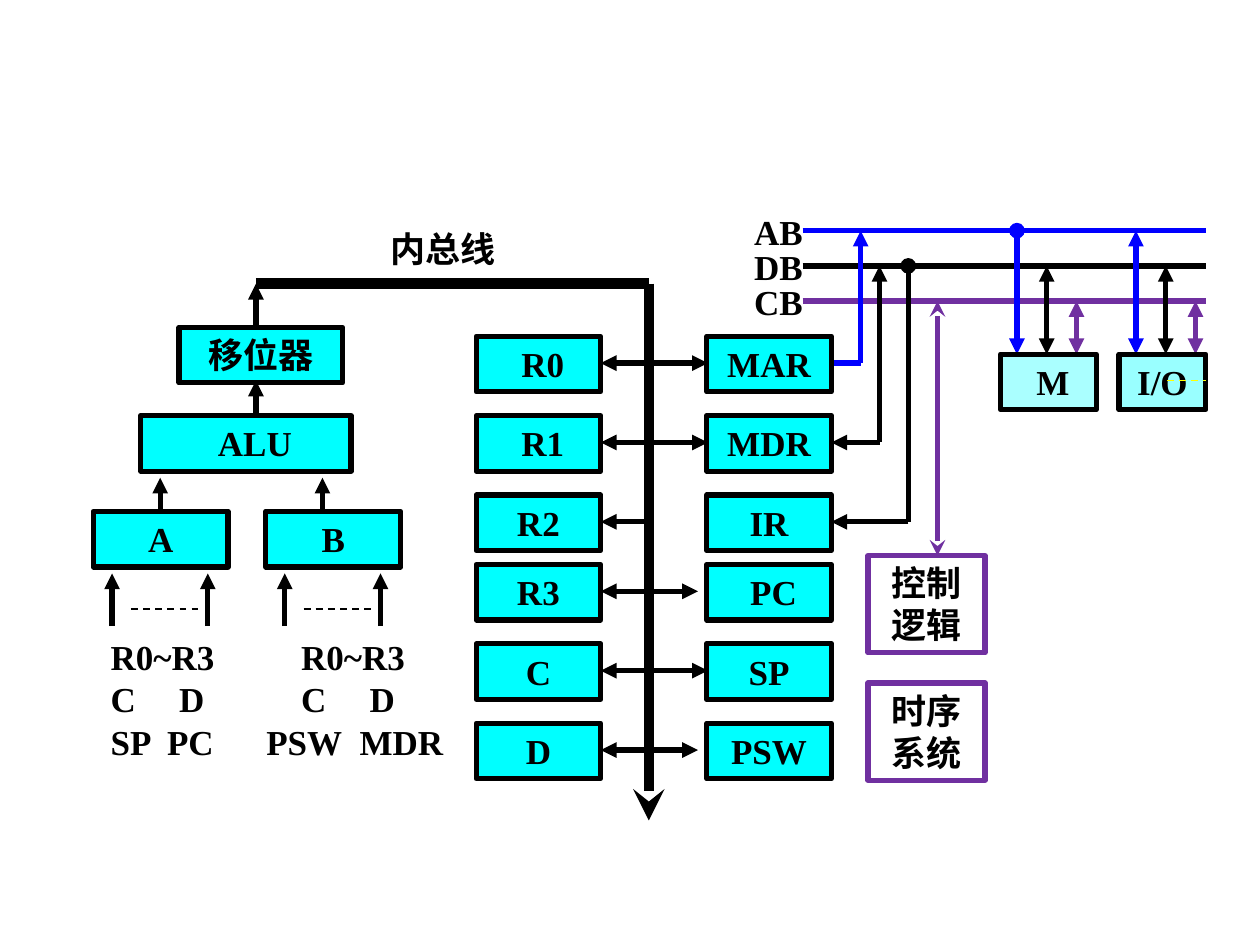
from dataclasses import dataclass

from lxml import etree
from pptx import Presentation
from pptx.dml.color import RGBColor
from pptx.enum.dml import MSO_LINE
from pptx.enum.shapes import MSO_CONNECTOR, MSO_SHAPE
from pptx.enum.text import MSO_ANCHOR, PP_ALIGN
from pptx.oxml.ns import qn
from pptx.util import Cm, Pt

RECT = MSO_SHAPE.RECTANGLE
STRAIGHT = MSO_CONNECTOR.STRAIGHT
DASH = MSO_LINE.DASH
CENTER = PP_ALIGN.CENTER
TOP = MSO_ANCHOR.TOP

BLACK, BLUE, PURPLE, YELLOW = "000000", "0000FF", "7030A0", "FFFF00"
CYAN, PALE_M, PALE_IO = "00FFFF", "AAFFFF", "99FFFF"
TRI, OVAL, STEALTH = "triangle", "oval", "stealth"
BOX_H = 1.12
INSET = 0.25


@dataclass
class Box:
    text: str
    x: float
    y: float
    w: float
    h: float = BOX_H
    fill: str | None = CYAN
    line: str = BLACK
    indent: float = 0


@dataclass
class Wire:
    x1: float
    y1: float
    x2: float
    y2: float
    color: str = BLACK
    head: str | None = None
    tail: str | None = None
    width: float = 3
    dashed: bool = False


def rgb(hex_color: str) -> RGBColor:
    return RGBColor.from_string(hex_color)


def add_run(p, text: str) -> None:
    r = p.add_run()
    r.text = text
    r.font.name = "Times New Roman"
    r.font.size = Pt(20)
    r.font.bold = True
    r.font.color.rgb = rgb(BLACK)


def fill_frame(sp, text: str, indent: float = 0) -> None:
    tf = sp.text_frame
    tf.word_wrap = True
    tf.vertical_anchor = TOP
    tf.margin_left = Cm(INSET + indent)
    p = tf.paragraphs[0]
    p.alignment = CENTER
    add_run(p, text)


def draw_box(s, b: Box) -> None:
    sp = s.shapes.add_shape(RECT, Cm(b.x), Cm(b.y), Cm(b.w), Cm(b.h))
    sp.shadow.inherit = False
    if b.fill:
        sp.fill.solid()
        sp.fill.fore_color.rgb = rgb(b.fill)
    else:
        sp.fill.background()
    sp.line.color.rgb = rgb(b.line)
    sp.line.width = Pt(3)
    fill_frame(sp, b.text, b.indent)


def draw_label(s, text: str, x: float, y: float, w: float) -> None:
    fill_frame(s.shapes.add_textbox(Cm(x), Cm(y), Cm(w), Cm(BOX_H)), text)


def draw_wire(s, w: Wire) -> None:
    cn = s.shapes.add_connector(STRAIGHT, Cm(w.x1), Cm(w.y1), Cm(w.x2), Cm(w.y2))
    cn.line.color.rgb = rgb(w.color)
    cn.line.width = Pt(w.width)
    if w.dashed:
        cn.line.dash_style = DASH
    ln = cn.line._get_or_add_ln()
    for tag, kind in (("a:headEnd", w.head), ("a:tailEnd", w.tail)):
        if kind:
            etree.SubElement(ln, qn(tag), type=kind)
    etree.SubElement(cn._element.spPr, qn("a:effectLst"))


def draw_sources(s, x: float, y: float, rows: list) -> None:
    """Source registers of the ALU inputs, set in columns by tab stops."""
    tf = s.shapes.add_textbox(Cm(x), Cm(y), Cm(8.31), Cm(2.64)).text_frame
    tf.word_wrap = True
    tf.margin_left = Cm(1.14)
    for i, (text, stops) in enumerate(rows):
        p = tf.add_paragraph() if i else tf.paragraphs[0]
        tabs = etree.SubElement(p._p.get_or_add_pPr(), qn("a:tabLst"))
        for stop in stops:
            etree.SubElement(tabs, qn("a:tab"), pos=str(Cm(stop)), algn="l")
        p.line_spacing = 0.6
        if i:
            p.space_before = Pt(10)
        add_run(p, text)


def main() -> None:
    prs = Presentation()
    prs.slide_width, prs.slide_height = Cm(25.4), Cm(19.05)
    s = prs.slides.add_slide(prs.slide_layouts[6])

    # Internal bus and the registers on both sides of it
    bus_x, bus_y, left_x, right_x, reg_w = 13.08, 5.72, 9.6, 14.25, 2.51
    left_edge, right_edge = left_x + reg_w, right_x + reg_w
    row_tops = [top + 1.6 * i for top in (6.78, 11.38) for i in range(3)]
    row_mids = [top + 0.54 for top in row_tops]
    wires = [
        Wire(5.16, bus_y, bus_x, bus_y, width=6),
        Wire(bus_x, bus_y, bus_x, 16.54, tail=STEALTH, width=6),
    ]
    boxes = []
    registers = [  # left, indent, right, indent, right end of the wire
        ("R0", 0.18, "MAR", 0, 14.27),
        ("R1", 0.18, "MDR", 0, 14.27),
        ("R2", 0, "IR", 0, None),
        ("R3", 0, "PC", 0.18, 14.07),
        ("C", 0, "SP", 0, 14.27),
        ("D", 0, "PSW", 0, 14.07),
    ]
    for (left, l_ind, right, r_ind, end), top, mid in zip(registers, row_tops, row_mids):
        boxes += [Box(left, left_x, top, reg_w, indent=l_ind),
                  Box(right, right_x, top, reg_w, indent=r_ind)]
        wires.append(Wire(end or bus_x, mid, left_edge, mid,
                          head=TRI if end else None, tail=TRI))

    # System buses
    ab, db, cb = 4.65, 5.36, 6.07
    for name, y, color in (("AB", ab, BLUE), ("CB", cb, PURPLE), ("DB", db, BLACK)):
        wires.append(Wire(16.18, y, 24.31, y, color))
        draw_label(s, name, 14.63, y - 0.53, 2.13)
    device_y = 7.14
    for x, ab_head in ((20.5, OVAL), (22.9, TRI)):
        drops = ((ab, BLUE, ab_head), (db, BLACK, TRI), (cb, PURPLE, TRI))
        for i, (y, color, head) in enumerate(drops):
            wires.append(Wire(x + 0.6 * i, y, x + 0.6 * i, device_y, color, head, TRI))
    boxes += [Box("M", 20.17, device_y, 1.93, fill=PALE_M, indent=0.18),
              Box("I/O", 22.56, device_y, 1.75, fill=PALE_IO)]

    # Links from MAR, MDR, IR and the control logic to the system buses
    mar_y, mdr_y, ir_y = row_mids[:3]
    control_y = 11.2
    wires += [
        Wire(right_edge, mar_y, 17.35, mar_y, BLUE),
        Wire(17.35, mar_y, 17.35, ab, BLUE, tail=TRI),
        Wire(17.73, mdr_y, right_edge, mdr_y, tail=TRI),
        Wire(17.73, mdr_y, 17.73, db, tail=TRI),
        Wire(18.31, db, 18.31, ir_y, head=OVAL),
        Wire(18.31, ir_y, right_edge, ir_y, tail=TRI),
        Wire(18.9, cb, 18.9, control_y, PURPLE, STEALTH, STEALTH),
    ]
    boxes += [Box(text, 17.5, y, 2.36, 1.96, None, PURPLE)
              for text, y in (("控制逻辑", control_y), ("时序系统", 13.77))]

    # ALU path
    boxes += [Box("移位器", 3.61, 6.6, 3.3), Box("ALU", 2.84, 8.38, 4.24, indent=0.36)]
    wires += [Wire(x, y1, x, y2, tail=TRI) for x, y1, y2 in (
        (5.16, 6.6, bus_y), (5.16, 8.36, 7.67), (3.23, 10.31, 9.63), (6.5, 10.31, 9.63))]
    for name, x in (("A", 2.26), ("B", 5.74)):
        boxes.append(Box(name, x - 0.38, 10.31, 2.72))
        wires += [Wire(end, 12.62, end, 11.56, tail=TRI) for end in (x, x + 1.93)]
        wires.append(Wire(x + 0.38, 12.27, x + 1.73, 12.27, width=1, dashed=True))

    for wire in wires:
        draw_wire(s, wire)
    for box in boxes:
        draw_box(s, box)
    draw_wire(s, Wire(23.52, 7.67, 24.31, 7.67, YELLOW, width=1, dashed=True))
    draw_label(s, "内总线", 6.91, 4.47, 4.06)
    draw_sources(s, 1.09, 12.98, [
        ("R0~R3\tR0~R3", (3.84,)),
        ("C\tD\tC\tD", (1.38, 3.84, 5.22)),
        ("SP\tPC\tPSW\tMDR", (1.14, 3.14, 5.02)),
    ])
    prs.save("out.pptx")


if __name__ == "__main__":
    main()
